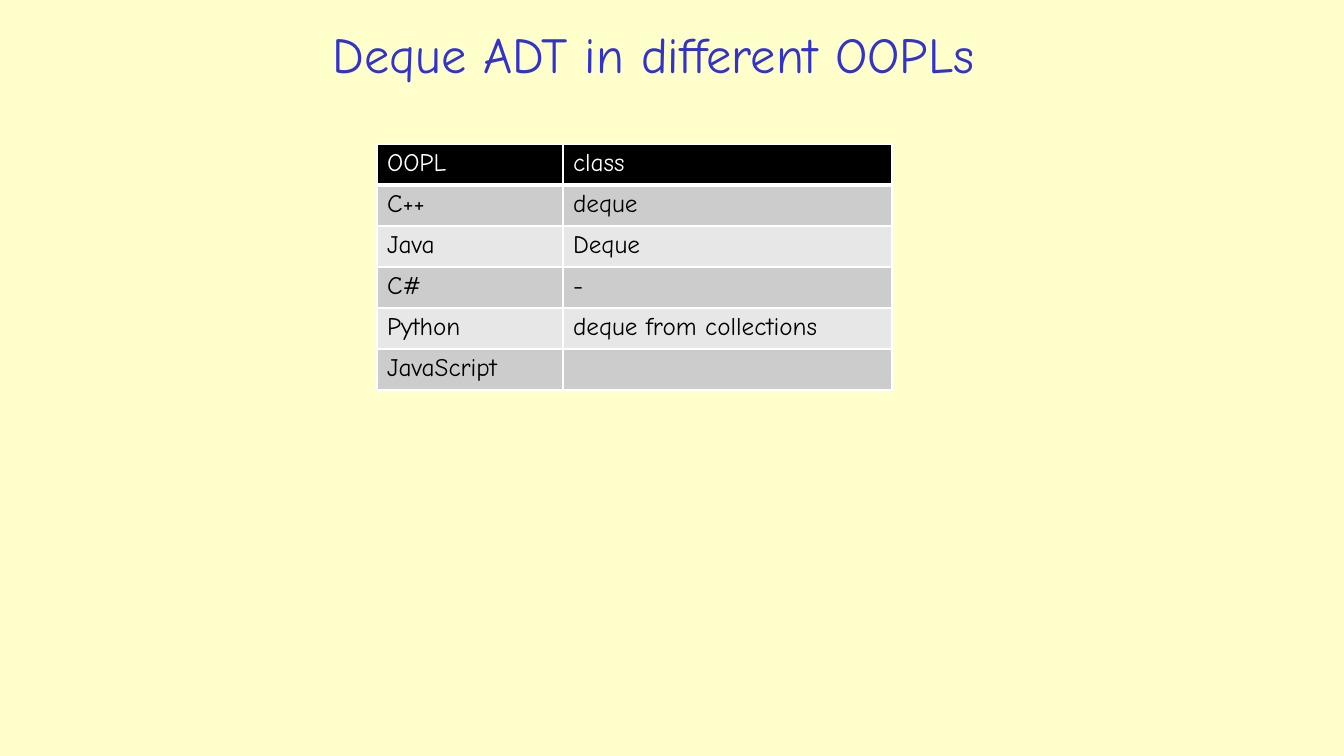
import pptx
import pptx.dml.color
import pptx.enum.text
import pptx.oxml
import pptx.oxml.ns
import pptx.util

RGBColor = pptx.dml.color.RGBColor
CREAM = RGBColor(0xFF, 0xFF, 0xCC)
BLUE = RGBColor(0x33, 0x33, 0xCC)
BLACK = RGBColor(0x00, 0x00, 0x00)
WHITE = RGBColor(0xFF, 0xFF, 0xFF)
GREY = RGBColor(0xCC, 0xCC, 0xCC)
LIGHT_GREY = RGBColor(0xE7, 0xE7, 0xE7)

PX_PER_INCH = 100.8
SLIDE_SIZE = (1344, 756)
ROW_HEIGHT = 41
COLUMN_WIDTHS = (186, 329)
CLASSES = [
    ("OOPL", "class"),
    ("C++", "deque"),
    ("Java", "Deque"),
    ("C#", "-"),
    ("Python", "deque from collections"),
    ("JavaScript", ""),
]


def px(n):
    return pptx.util.Inches(n / PX_PER_INCH)


class Deck:
    font = "Comic Neue"

    def __init__(self):
        self.prs = pptx.Presentation()
        self.prs.slide_width, self.prs.slide_height = map(px, SLIDE_SIZE)
        self.slide = self.prs.slides.add_slide(self.prs.slide_layouts[6])
        fill = self.slide.background.fill
        fill.solid()
        fill.fore_color.rgb = CREAM

    def add_text(self, p, text, size, color):
        r = p.add_run()
        r.text = text
        style = {"name": self.font, "size": pptx.util.Pt(size), "bold": False}
        for key, value in style.items():
            setattr(r.font, key, value)
        r.font.color.rgb = color

    def title(self, text, x, y, w, h):
        sp = self.slide.shapes.add_textbox(*map(px, (x, y, w, h)))
        tf = sp.text_frame
        tf.word_wrap = True
        tf.vertical_anchor = pptx.enum.text.MSO_ANCHOR.MIDDLE
        p = tf.paragraphs[0]
        p.alignment = pptx.enum.text.PP_ALIGN.CENTER
        self.add_text(p, text, 36, BLUE)

    def borders(self, cell, color, widths):
        """Draw the cell's sides; widths maps L, R, T, B, in that order, to points."""
        tc_pr = cell._tc.get_or_add_tcPr()
        for side, width in widths.items():
            tc_pr.append(pptx.oxml.parse_xml(
                f'<a:ln{side} {pptx.oxml.ns.nsdecls("a")} w="{pptx.util.Pt(width)}">'
                f'<a:solidFill><a:srgbClr val="{color}"/></a:solidFill></a:ln{side}>'))

    def table(self, rows, x, y, widths, row_height):
        size = (sum(widths), row_height * len(rows))
        table = self.slide.shapes.add_table(
            len(rows), len(widths), *map(px, (x, y, *size))).table
        for column, width in zip(table.columns, widths):
            column.width = px(width)
        for i, texts in enumerate(rows):
            table.rows[i].height = px(row_height)
            header = i == 0
            fill = BLACK if header else GREY if i % 2 else LIGHT_GREY
            for j, text in enumerate(texts):
                cell = table.cell(i, j)
                self.borders(cell, WHITE, {"L": 1, "R": 1, "T": 1, "B": 3 if header else 1})
                cell.fill.solid()
                cell.fill.fore_color.rgb = fill
                if text:
                    p = cell.text_frame.paragraphs[0]
                    self.add_text(p, text, 18, WHITE if header else BLACK)


def main():
    deck = Deck()
    deck.title("Deque ADT in different OOPLs", 16, 15, 1275, 77)
    deck.table(CLASSES, 377, 144, COLUMN_WIDTHS, ROW_HEIGHT)
    deck.prs.save("out.pptx")


if __name__ == "__main__":
    main()
